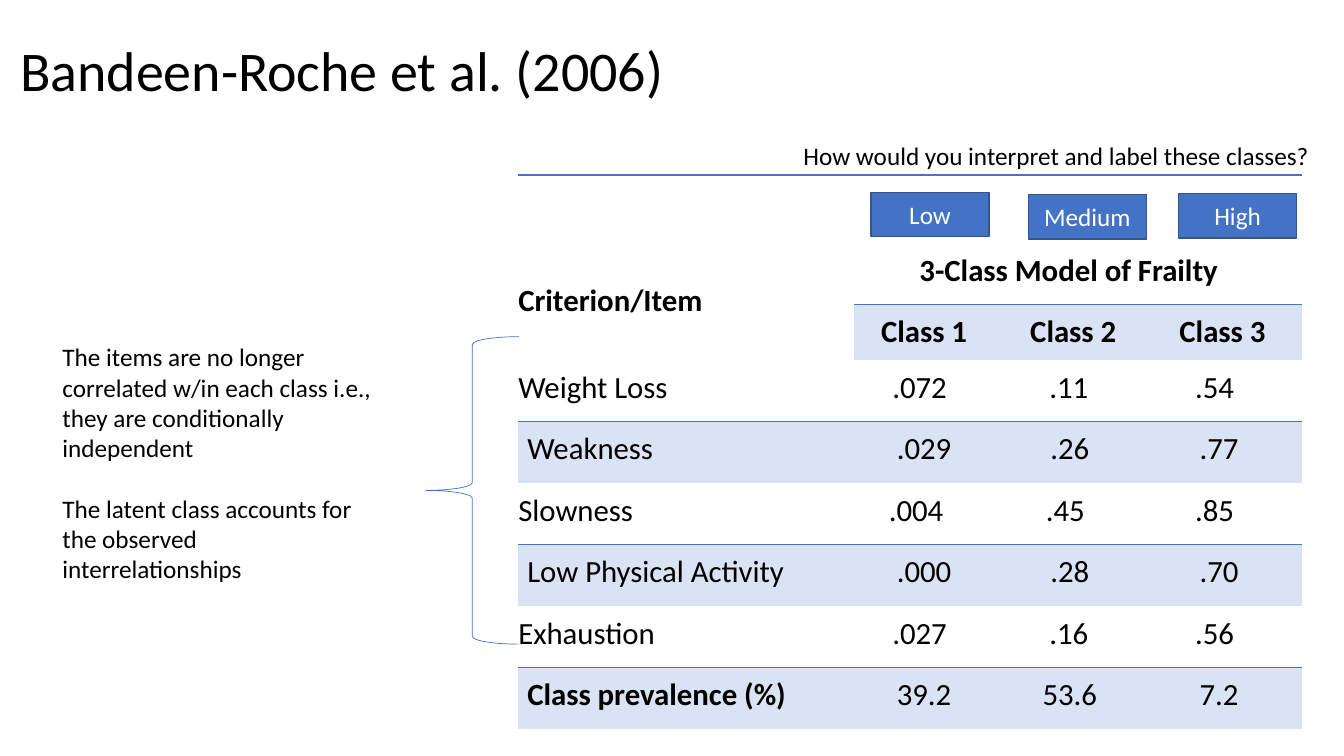
from lxml import etree
from pptx import Presentation
from pptx import util as u
from pptx.dml.color import RGBColor
from pptx.enum import shapes, text
from pptx.oxml import ns

COLORS = {"ink": "000000", "accent": "4472C4", "edge": "325491", "band": "DAE3F3", "white": "FFFFFF"}
FONT = "Calibri"
NO_STYLE = "{2D5ABB26-0587-4C30-8999-92F81FD0307C}"
COLUMNS = [3.33, 1.48, 1.48, 1.48]
ROWS = [0.67, 0.61, 0.55] + [0.61] * 6
ITEMS = [
    ("Weight Loss", ".072", ".11", ".54 "),
    ("Weakness", ".029", ".26 ", ".77 "),
    ("Slowness", ".004 ", ".45 ", ".85 "),
    ("Low Physical Activity", ".000", ".28 ", ".70 "),
    ("Exhaustion", ".027", ".16", ".56 "),
    ("Class prevalence (%)", "39.2", "53.6 ", "7.2 "),
]
NOTES = [
    ("The items are no longer correlated w/in each class i.e.,", 0),
    ("they are conditionally independent", 0),
    ("The latent class accounts for the observed interrelationships", 21.6),
]


def color(name):
    """Return the named colour."""
    return RGBColor.from_string(COLORS[name])


def inches(box):
    """Convert a box of numbers to lengths."""
    return [u.Inches(value) for value in box]


def style(paragraph, size, ink="ink", bold=False, centered=False):
    """Set the font and alignment of a paragraph."""
    font = paragraph.font
    font.name, font.size, font.bold = FONT, u.Pt(size), bold
    font.color.rgb = color(ink)
    paragraph.alignment = text.PP_ALIGN.CENTER if centered else text.PP_ALIGN.LEFT


def add_text(slide, box, paragraphs, size):
    """Add a wrapped text box of (wording, space before) pairs."""
    frame = slide.shapes.add_textbox(*inches(box)).text_frame
    frame.word_wrap = True
    for index, (wording, gap) in enumerate(paragraphs):
        paragraph = frame.add_paragraph() if index else frame.paragraphs[0]
        paragraph.text = wording
        if gap:
            paragraph.space_before = u.Pt(gap)
        style(paragraph, size)
    return frame


def add_title(slide, box):
    """Add the slide title, resting on the bottom of its box."""
    frame = add_text(slide, box, [("Bandeen-Roche et al. (2006)", 0)], 40)
    frame.vertical_anchor = text.MSO_ANCHOR.BOTTOM
    frame.paragraphs[0].line_spacing = 0.9


def add_border(cell, side, width):
    """Draw one accent border of a cell."""
    line = etree.Element(ns.qn("a:" + side), w=str(u.Pt(width)))
    fill = etree.SubElement(line, ns.qn("a:solidFill"))
    etree.SubElement(fill, ns.qn("a:srgbClr"), val=COLORS["accent"])
    cell._tc.get_or_add_tcPr().insert(0, line)


def fill_cell(cell, wording, bold=False, centered=True, banded=False):
    """Write a cell and set its margins and fill."""
    cell.margin_left = u.Inches(0.09 if banded else 0)
    cell.margin_right = u.Inches(0.18)
    cell.margin_top = cell.margin_bottom = u.Inches(0.09)
    if banded:
        cell.fill.solid()
        cell.fill.fore_color.rgb = color("band")
    else:
        cell.fill.background()
    paragraph = cell.text_frame.paragraphs[0]
    paragraph.text = wording
    style(paragraph, 22, bold=bold, centered=centered)


def add_frailty_table(slide, left, top):
    """Add the table of the three-class model."""
    box = inches((left, top, sum(COLUMNS), sum(ROWS)))
    graphic = slide.shapes.add_table(len(ROWS), len(COLUMNS), *box)
    table = graphic.table
    table.first_row = table.horz_banding = False
    for style_id in graphic.element.iter(ns.qn("a:tableStyleId")):
        style_id.text = NO_STYLE
    for column, width in zip(table.columns, COLUMNS):
        column.width = u.Inches(width)
    for row, height in zip(table.rows, ROWS):
        row.height = u.Inches(height)
    for column in range(len(COLUMNS)):
        add_border(table.cell(0, column), "lnT", 1.5)

    criterion = table.cell(1, 0)
    criterion.merge(table.cell(2, 0))
    fill_cell(criterion, "Criterion/Item", bold=True, centered=False)
    criterion.vertical_anchor = text.MSO_ANCHOR.MIDDLE
    model = table.cell(1, 1)
    model.merge(table.cell(1, 3))
    fill_cell(model, "3-Class Model of Frailty", bold=True)
    for column in range(1, len(COLUMNS)):
        fill_cell(table.cell(2, column), f"Class {column}", bold=True, banded=True)
        add_border(table.cell(1, column), "lnB", 0.75)

    for index, item in enumerate(ITEMS):
        banded = index % 2 == 1
        for column, wording in enumerate(item):
            cell = table.cell(index + 3, column)
            is_total = index == len(ITEMS) - 1 and column == 0
            fill_cell(cell, wording, is_total, column > 0, banded)
            if not banded:
                add_border(cell, "lnB", 0.75)


def add_label(slide, box, wording):
    """Add a filled class label."""
    shape = slide.shapes.add_shape(shapes.MSO_SHAPE.RECTANGLE, *inches(box))
    shape.shadow.inherit = False
    shape.fill.solid()
    shape.fill.fore_color.rgb = color("accent")
    shape.line.color.rgb = color("edge")
    shape.line.width = u.Pt(1)
    frame = shape.text_frame
    frame.vertical_anchor = text.MSO_ANCHOR.MIDDLE
    frame.paragraphs[0].text = wording
    style(frame.paragraphs[0], 18, "white", centered=True)


def add_brace(slide, box):
    """Add the brace that gathers the items."""
    brace = slide.shapes.add_shape(shapes.MSO_SHAPE.LEFT_BRACE, *inches(box))
    brace.shadow.inherit = False
    brace.fill.background()
    brace.line.color.rgb = color("accent")
    brace.line.width = u.Pt(0.5)


def main():
    """Build and save the slide."""
    presentation = Presentation()
    presentation.slide_width, presentation.slide_height = inches((13.33, 7.5))
    slide = presentation.slides.add_slide(presentation.slide_layouts[6])
    add_title(slide, (0.1, 0.25, 12.38, 0.83))
    add_frailty_table(slide, 5.14, 1.74)
    question = "How would you interpret and label these classes?"
    add_text(slide, (7.87, 1.34, 5.46, 0.4), [(question, 0)], 18)
    for wording, left, top in (("Low", 8.64, 1.91), ("Medium", 10.2, 1.93), ("High", 11.69, 1.92)):
        add_label(slide, (left, top, 1.17, 0.44), wording)
    add_brace(slide, (4.22, 3.34, 0.93, 3.05))
    add_text(slide, (0.52, 3.34, 3.35, 2.52), NOTES, 18)
    presentation.save("out.pptx")


if __name__ == "__main__":
    main()
